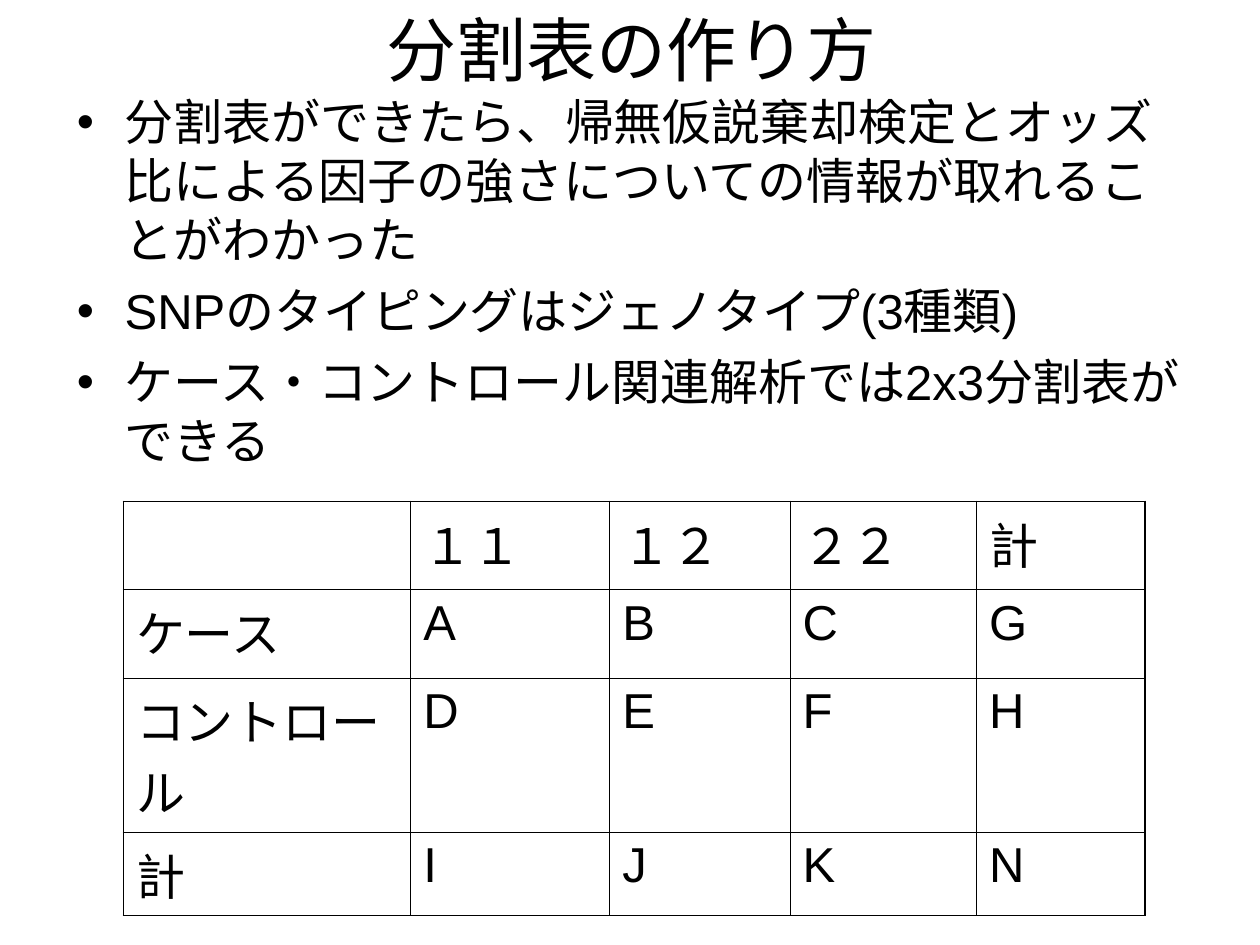
from pptx import Presentation
from pptx.dml.color import RGBColor
from pptx.enum.text import MSO_ANCHOR, MSO_AUTO_SIZE, PP_ALIGN
from pptx.oxml.ns import qn
from pptx.util import Inches, Pt
from lxml import etree

CENTER = PP_ALIGN.CENTER
MIDDLE = MSO_ANCHOR.MIDDLE
NO_AUTOFIT = MSO_AUTO_SIZE.NONE

COLORS = {"text": "000000", "border": "000000"}
FONT = "Arial"
INDENT = Inches(0.38)
OUTER, INNER = Pt(1.08), Pt(0.45)

TITLE = "分割表の作り方"
BULLETS = [
    "分割表ができたら、帰無仮説棄却検定とオッズ比による因子の強さについての情報が取れることがわかった",
    "SNPのタイピングはジェノタイプ(3種類)",
    "ケース・コントロール関連解析では2x3分割表ができる",
]
ROWS = [
    ["", "１１", "１２", "２２", "計"],
    ["ケース", "A", "B", "C", "G"],
    ["コントロール", "D", "E", "F", "H"],
    ["計", "I", "J", "K", "N"],
]
COL_WIDTHS = [2.28, 1.58, 1.43, 1.48, 1.34]
ROW_HEIGHTS = [0.7, 0.7, 1.04, 0.63]


def place(sp, left, top, width, height):
    sp.left, sp.top = Inches(left), Inches(top)
    sp.width, sp.height = Inches(width), Inches(height)


def add_run(p, text, size):
    r = p.add_run()
    r.text = text
    r.font.name = FONT
    r.font.size = Pt(size)
    r.font.color.rgb = RGBColor.from_string(COLORS["text"])


def set_bullet(p):
    pPr = p._p.get_or_add_pPr()
    pPr.set("marL", str(INDENT))
    pPr.set("indent", str(-INDENT))
    etree.SubElement(pPr, qn("a:buChar")).set("char", "•")


def fill_title(sp):
    place(sp, 0.51, 0, 9, 0.77)
    tf = sp.text_frame
    tf.auto_size = NO_AUTOFIT
    tf.vertical_anchor = MIDDLE
    p = tf.paragraphs[0]
    p.alignment = CENTER
    add_run(p, TITLE, 40)


def fill_bullets(sp):
    place(sp, 0.51, 0.68, 8.99, 3.1)
    tf = sp.text_frame
    tf.auto_size = NO_AUTOFIT
    for i, text in enumerate(BULLETS):
        p = tf.add_paragraph() if i else tf.paragraphs[0]
        set_bullet(p)
        p.space_before = Pt(7 if i else 0)
        add_run(p, text, 28)


def set_borders(cell, widths):
    """Draw the cell's sides; widths maps L, R, T, B, in that order, to lengths."""
    tcPr = cell._tc.get_or_add_tcPr()
    for side, width in widths.items():
        ln = etree.SubElement(tcPr, qn(f"a:ln{side}"), w=str(width))
        fill = etree.SubElement(ln, qn("a:solidFill"))
        etree.SubElement(fill, qn("a:srgbClr"), val=COLORS["border"])


def add_contingency_table(s):
    n_rows, n_cols = len(ROWS), len(COL_WIDTHS)
    frame = s.shapes.add_table(n_rows, n_cols, Inches(0.98), Inches(3.98),
                               Inches(sum(COL_WIDTHS)), Inches(sum(ROW_HEIGHTS)))
    table = frame.table
    table.first_row = table.horz_banding = False
    for col, width in zip(table.columns, COL_WIDTHS):
        col.width = Inches(width)
    for row, height in zip(table.rows, ROW_HEIGHTS):
        row.height = Inches(height)
    for i, texts in enumerate(ROWS):
        for j, text in enumerate(texts):
            cell = table.cell(i, j)
            set_borders(cell, {
                "L": OUTER if j == 0 else INNER,
                "R": OUTER if j == n_cols - 1 else INNER,
                "T": OUTER if i == 0 else INNER,
                "B": OUTER if i == n_rows - 1 else INNER,
            })
            cell.fill.background()
            if text:
                add_run(cell.text_frame.paragraphs[0], text, 28)


def main():
    prs = Presentation()
    prs.slide_width, prs.slide_height = Inches(10), Inches(7.5)
    s = prs.slides.add_slide(prs.slide_layouts[1])
    fill_title(s.shapes.title)
    fill_bullets(s.placeholders[1])
    add_contingency_table(s)
    prs.save("out.pptx")


if __name__ == "__main__":
    main()
